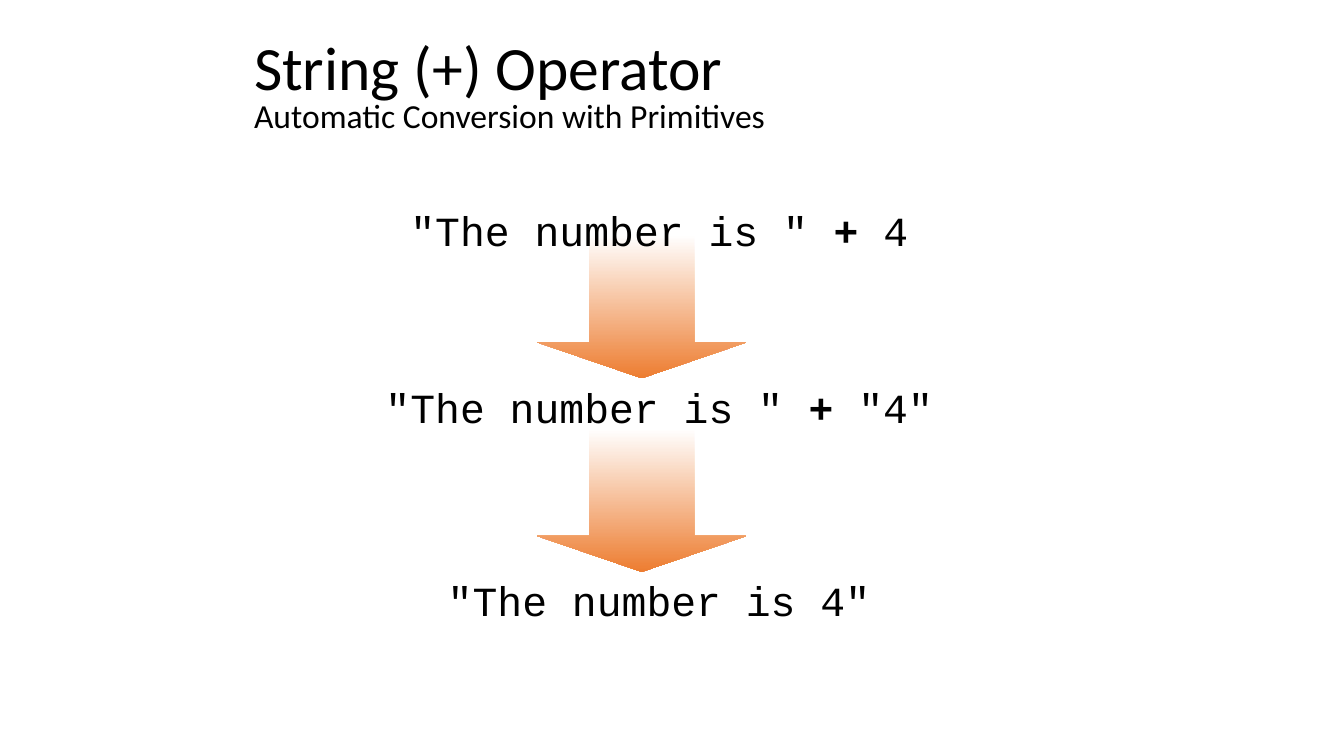
from pptx import Presentation
from pptx.dml.color import RGBColor
from pptx.enum.shapes import MSO_SHAPE
from pptx.enum.text import MSO_ANCHOR, MSO_AUTO_SIZE, PP_ALIGN
from pptx.util import Cm, Pt

COLORS = {"text": "000000", "arrow_start": "FFFFFF", "arrow_end": "ED7D31"}


def format_run(run, font_name, size, bold=False):
    run.font.name = font_name
    run.font.size = Pt(size)
    run.font.bold = bold
    run.font.color.rgb = RGBColor.from_string(COLORS["text"])


presentation = Presentation()
presentation.slide_width = Cm(33.88)
presentation.slide_height = Cm(19.05)
slide = presentation.slides.add_slide(presentation.slide_layouts[5])

title = slide.shapes.title
title.left, title.top, title.width, title.height = Cm(6.15), Cm(1.07), Cm(21.59), Cm(2.34)
title_frame = title.text_frame
title_frame.text = "String (+) Operator\vAutomatic Conversion with Primitives"
title_frame.auto_size = MSO_AUTO_SIZE.NONE
title_frame.vertical_anchor = MSO_ANCHOR.MIDDLE
title_paragraph = title_frame.paragraphs[0]
title_paragraph.alignment = PP_ALIGN.LEFT
title_paragraph.line_spacing = 0.8
for run, size in zip(title_paragraph.runs, (44, 24)):
    format_run(run, "Calibri", size)

for arrow_top in (5.92, 10.8):
    arrow = slide.shapes.add_shape(
        MSO_SHAPE.DOWN_ARROW, Cm(13.54), Cm(arrow_top), Cm(5.28), Cm(3.61)
    )
    arrow.adjustments[0] = 0.5
    arrow.adjustments[1] = 0.25
    arrow.shadow.inherit = False
    arrow.line.fill.background()
    arrow.fill.gradient()
    arrow.fill.gradient_angle = 270
    for stop, color in zip(arrow.fill.gradient_stops, ("arrow_start", "arrow_end")):
        stop.color.rgb = RGBColor.from_string(COLORS[color])

expressions = [
    (4.93, ['"The number is "', " + ", "4"]),
    (9.37, ['"The number is " ', "+", ' "4"']),
    (14.25, ['"The number is 4"']),
]
for expression_top, parts in expressions:
    expression = slide.shapes.add_textbox(Cm(5.72), Cm(expression_top), Cm(21.8), Cm(1.7))
    expression.text_frame.word_wrap = True
    paragraph = expression.text_frame.paragraphs[0]
    paragraph.alignment = PP_ALIGN.CENTER
    paragraph.line_spacing = 1.1
    for part in parts:
        run = paragraph.add_run()
        run.text = part
        format_run(run, "Courier New", 29.6, bold=part.strip() == "+")

presentation.save("out.pptx")
